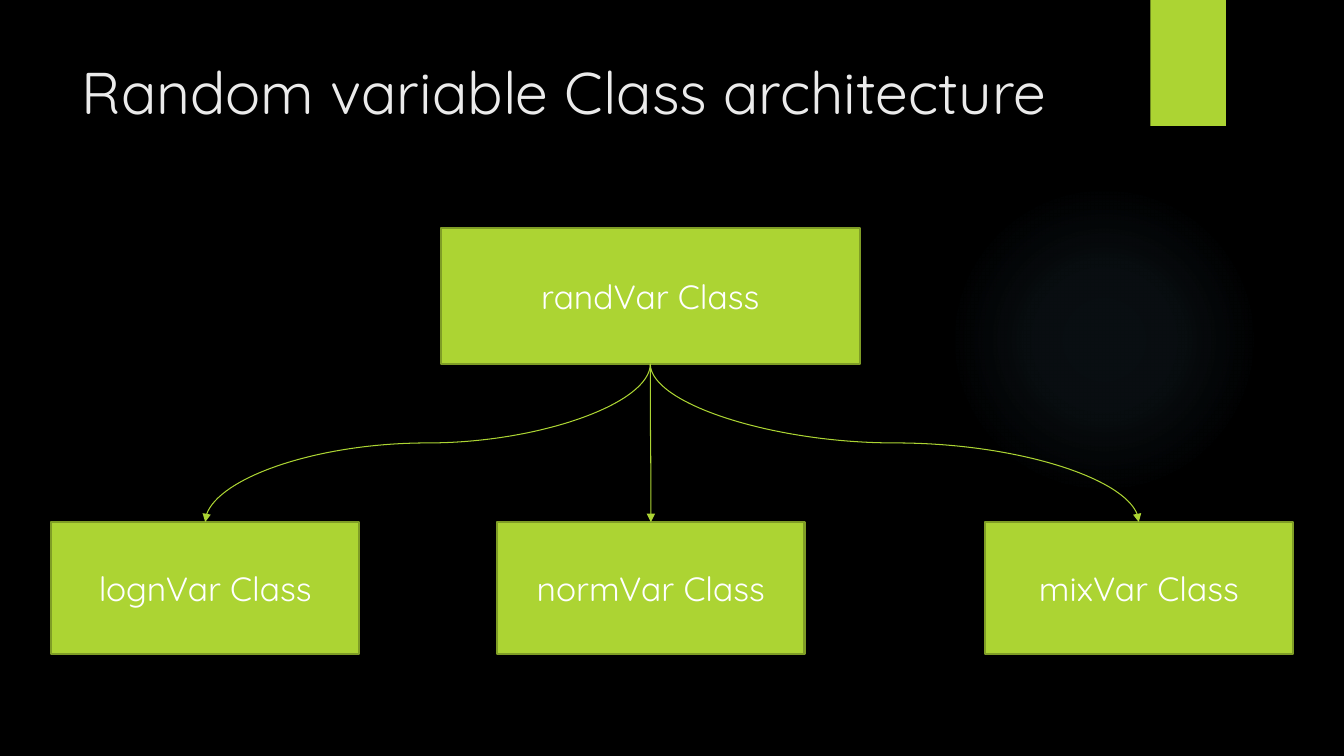
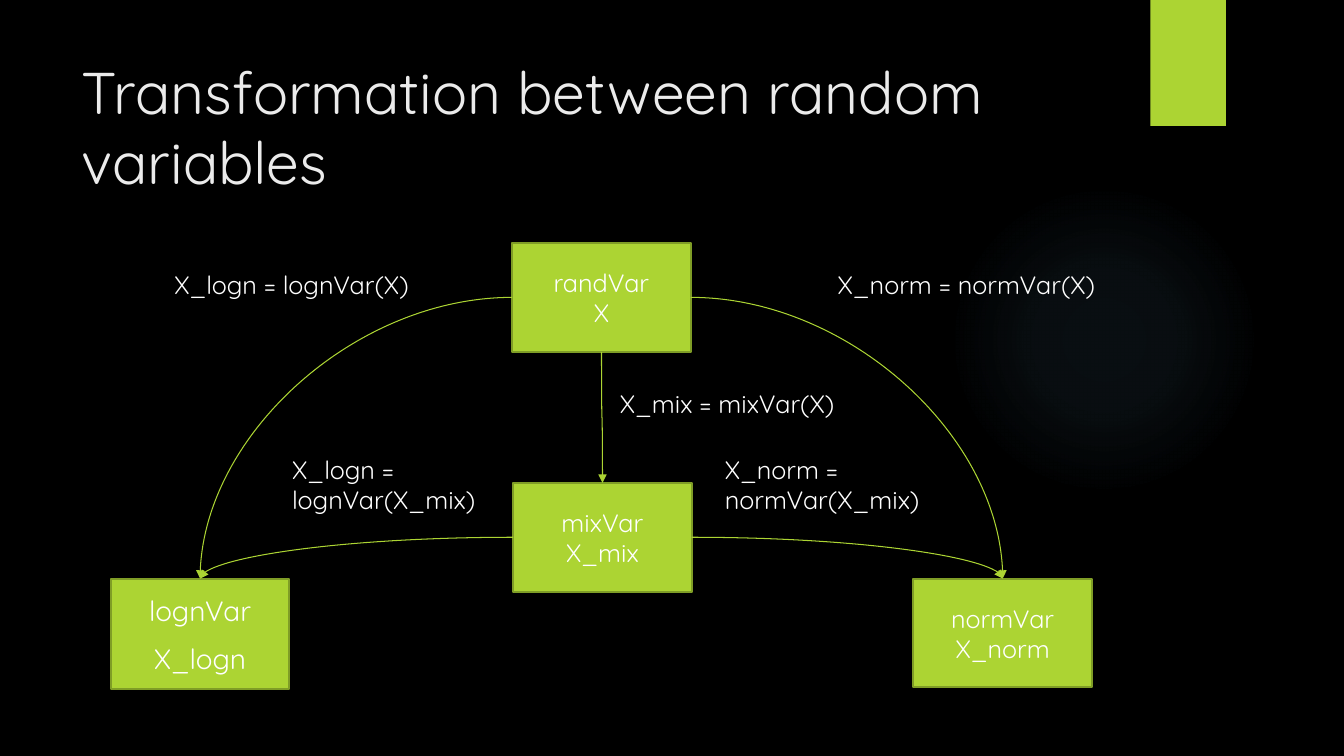
"""Build two slides on random variable classes and their transformations."""
from dataclasses import dataclass

from pptx import Presentation, util as u
from pptx.dml.color import RGBColor
from pptx.enum import shapes, text
from pptx.oxml import parse_xml
from pptx.oxml.ns import nsdecls, qn
from pptx.oxml.xmlchemy import OxmlElement
from pptx.presentation import Presentation as Deck
from pptx.shapes.autoshape import Shape
from pptx.slide import Slide

TOP, LEFT, BOTTOM, RIGHT = range(4)


@dataclass(frozen=True)
class Theme:
    font: str = "Quicksand"
    back: RGBColor = RGBColor(0x00, 0x00, 0x00)
    accent: RGBColor = RGBColor(0xAC, 0xD4, 0x33)
    edge: RGBColor = RGBColor(0x7F, 0x9D, 0x26)
    title: RGBColor = RGBColor(0xEB, 0xEB, 0xEB)
    body: RGBColor = RGBColor(0xFF, 0xFF, 0xFF)
    glow: str = "7AC4F0"
    glow_stops: tuple[tuple[int, int], ...] = ((0, 7), (36, 6), (69, 0))
    title_size: int = 42
    class_size: int = 24
    node_size: int = 18
    edge_width: float = 1.5
    arrow_width: float = 0.75


THEME = Theme()


@dataclass(frozen=True)
class Node:
    lines: tuple[str, ...]
    left: float
    top: float
    width: float = 1.77
    height: float = 1.08
    size: int = THEME.node_size
    space: int = 0


@dataclass(frozen=True)
class Label:
    words: str
    left: float
    top: float
    width: float
    height: float = 0.4


@dataclass(frozen=True)
class Arrow:
    start: str
    side: int
    end: str


@dataclass(frozen=True)
class Diagram:
    title: str
    nodes: dict[str, Node]
    arrows: tuple[Arrow, ...]
    labels: tuple[Label, ...] = ()


def subclass(name: str, left: float) -> Node:
    """Return a box of the lower row of the class tree."""
    return Node((name,), left, 5.18, 3.05, 1.31, THEME.class_size, 10)


DIAGRAMS = (
    Diagram(
        "Random variable Class architecture",
        {
            "rand": Node(("randVar Class",), 4.37, 2.26, 4.16, 1.35, THEME.class_size),
            "logn": subclass("lognVar Class", 0.51),
            "norm": subclass("normVar Class", 4.93),
            "mix": subclass("mixVar Class", 9.77),
        },
        tuple(Arrow("rand", BOTTOM, end) for end in ("logn", "norm", "mix")),
    ),
    Diagram(
        "Transformation between random variables",
        {
            "rand": Node(("randVar", "X"), 5.08, 2.41),
            "mix": Node(("mixVar", "X_mix"), 5.09, 4.79),
            "logn": Node(("lognVar", "X_logn"), 1.1, 5.74, height=1.1, size=20, space=10),
            "norm": Node(("normVar", "X_norm"), 9.06, 5.74),
        },
        (
            Arrow("rand", LEFT, "logn"),
            Arrow("rand", BOTTOM, "mix"),
            Arrow("rand", RIGHT, "norm"),
            Arrow("mix", LEFT, "logn"),
            Arrow("mix", RIGHT, "norm"),
        ),
        (
            Label("X_logn = lognVar(X)", 1.63, 2.62, 2.62),
            Label("X_norm = normVar(X)", 8.21, 2.62, 2.8),
            Label("X_mix = mixVar(X)", 6.05, 3.8, 2.36),
            Label("X_logn = lognVar(X_mix)", 2.8, 4.46, 2.73, 0.71),
            Label("X_norm = normVar(X_mix)", 7.09, 4.46, 2.89, 0.71),
        ),
    ),
)


def inches(*lengths: float) -> list[u.Length]:
    """Convert numbers to lengths in inches."""
    return [u.Inches(length) for length in lengths]


def write(sp: Shape, lines: tuple[str, ...], size: int, color: RGBColor,
          align: text.PP_ALIGN = text.PP_ALIGN.LEFT, space: int = 0) -> None:
    """Fill a shape with one paragraph per line."""
    tf = sp.text_frame
    tf.word_wrap = True
    tf.text = "\n".join(lines)
    for p in tf.paragraphs:
        p.alignment = align
        p.space_before = u.Pt(space)
        p.font.name = THEME.font
        p.font.size = u.Pt(size)
        p.font.color.rgb = color


def add_text(s: Slide, label: Label, size: int, color: RGBColor) -> None:
    """Add a wrapped text box."""
    sp = s.shapes.add_textbox(*inches(label.left, label.top, label.width, label.height))
    write(sp, (label.words,), size, color)


def add_plain(s: Slide, kind: shapes.MSO_SHAPE, left: float, top: float,
              width: float, height: float) -> Shape:
    """Add an accent-filled shape without outline or shadow."""
    sp = s.shapes.add_shape(kind, *inches(left, top, width, height))
    sp.shadow.inherit = False
    sp.fill.solid()
    sp.fill.fore_color.rgb = THEME.accent
    sp.line.fill.background()
    return sp


def add_glow(s: Slide) -> None:
    """Add the faint round glow behind the content."""
    sp = add_plain(s, shapes.MSO_SHAPE.OVAL, 9.41, 1.83, 3.08, 3.08)
    stops = "".join(
        f'<a:gs pos="{pos * 1000}"><a:srgbClr val="{THEME.glow}">'
        f'<a:alpha val="{alpha * 1000}"/></a:srgbClr></a:gs>'
        for pos, alpha in THEME.glow_stops
    )
    grad = parse_xml(
        f'<a:gradFill {nsdecls("a")}><a:gsLst>{stops}</a:gsLst><a:path path="circle">'
        '<a:fillToRect l="50000" t="50000" r="50000" b="50000"/></a:path></a:gradFill>'
    )
    props = sp._element.spPr
    props.replace(props.find(qn("a:solidFill")), grad)


def add_node(s: Slide, node: Node) -> Shape:
    """Add a class box with centred text."""
    sp = add_plain(s, shapes.MSO_SHAPE.RECTANGLE, node.left, node.top, node.width, node.height)
    sp.line.color.rgb = THEME.edge
    sp.line.width = u.Pt(THEME.edge_width)
    sp.text_frame.vertical_anchor = text.MSO_ANCHOR.MIDDLE
    write(sp, node.lines, node.size, THEME.body, text.PP_ALIGN.CENTER, node.space)
    return sp


def add_arrow(s: Slide, arrow: Arrow, boxes: dict[str, Shape]) -> None:
    """Join two boxes with a curved arrow that enters from above."""
    c = s.shapes.add_connector(shapes.MSO_CONNECTOR.CURVE, 0, 0, 0, 0)
    c.begin_connect(boxes[arrow.start], arrow.side)
    c.end_connect(boxes[arrow.end], TOP)
    c.line.color.rgb = THEME.accent
    c.line.width = u.Pt(THEME.arrow_width)
    tail = OxmlElement("a:tailEnd")
    tail.set("type", "triangle")
    c.line._get_or_add_ln().append(tail)
    props = c._element.spPr
    props.append(OxmlElement("a:effectLst"))
    if arrow.side == BOTTOM:
        rightward = c.end_x >= c.begin_x
        mid_x, mid_y = c.left + c.width // 2, c.top + c.height // 2
        c.width, c.height = c.height, c.width
        c.left, c.top = mid_x - c.width // 2, mid_y - c.height // 2
        xfrm = props.find(qn("a:xfrm"))
        xfrm.set("rot", str((270 if rightward else 90) * 60000))
        xfrm.set("flipH", str(int(rightward)))
    else:
        props.find(qn("a:prstGeom")).set("prst", "curvedConnector2")


def add_diagram(prs: Deck, diagram: Diagram) -> None:
    """Add a slide with the shared look and one diagram."""
    s = prs.slides.add_slide(prs.slide_layouts[6])
    s.background.fill.solid()
    s.background.fill.fore_color.rgb = THEME.back
    add_glow(s)
    add_plain(s, shapes.MSO_SHAPE.RECTANGLE, 11.41, 0, 0.75, 1.25)
    add_text(s, Label(diagram.title, 0.71, 0.5, 10.29, 1.53), THEME.title_size, THEME.title)
    boxes = {name: add_node(s, node) for name, node in diagram.nodes.items()}
    for arrow in diagram.arrows:
        add_arrow(s, arrow, boxes)
    for label in diagram.labels:
        add_text(s, label, THEME.node_size, THEME.body)


def main() -> None:
    """Build and save the presentation."""
    prs = Presentation()
    prs.slide_width, prs.slide_height = inches(13.33, 7.5)
    for diagram in DIAGRAMS:
        add_diagram(prs, diagram)
    prs.save("out.pptx")


if __name__ == "__main__":
    main()
